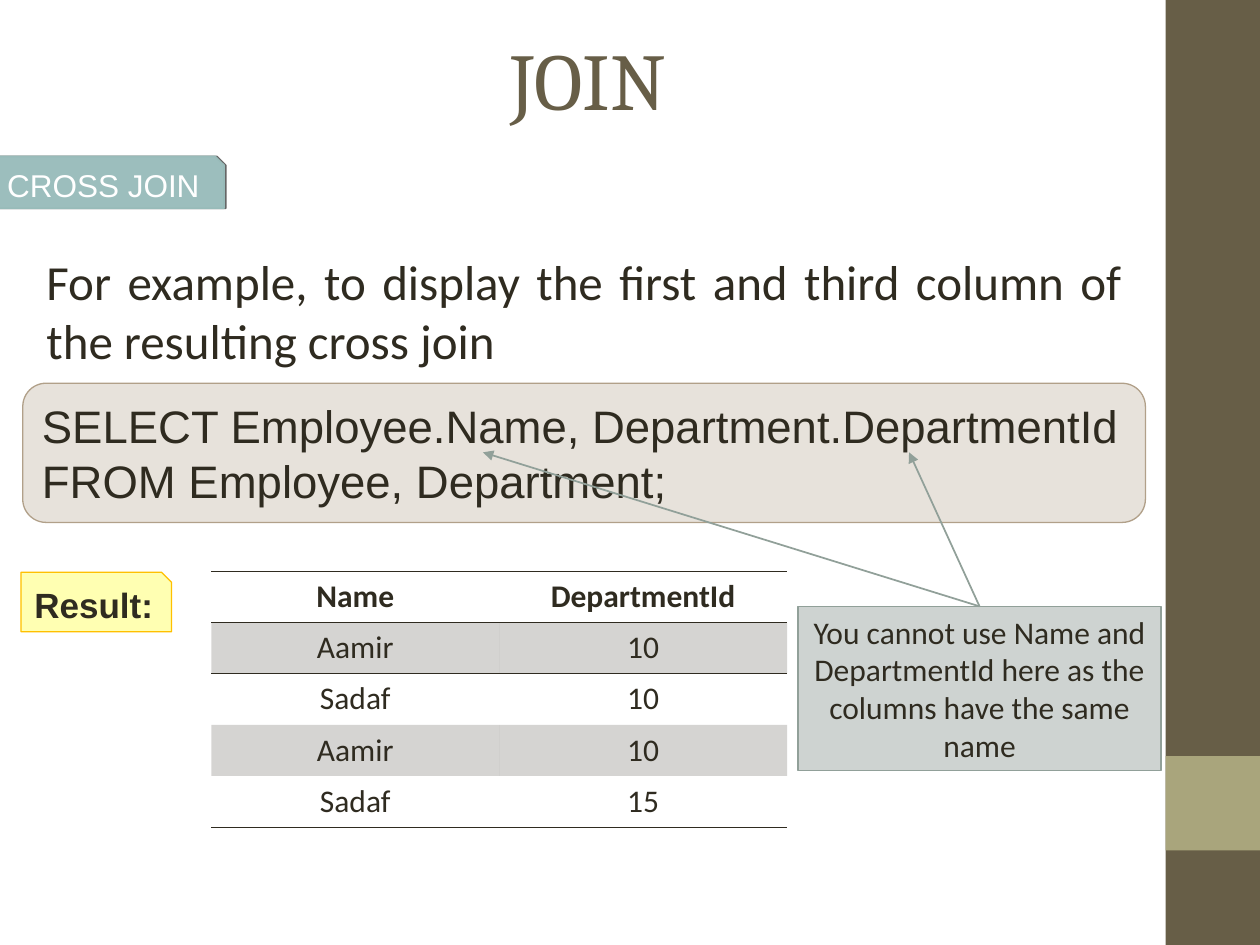
from pptx import Presentation
from pptx.dml.color import RGBColor
from pptx.enum.shapes import MSO_CONNECTOR, MSO_SHAPE
from pptx.enum.text import MSO_ANCHOR, PP_ALIGN
from pptx.oxml import parse_xml
from pptx.oxml.ns import nsdecls, qn
from pptx.oxml.xmlchemy import OxmlElement
from pptx.util import Pt

INK = "2F2B20"
BROWN = "675E47"
SAGE = "91A099"
NO_STYLE = "{2D5ABB26-0587-4C30-8999-92F81FD0307C}"
ROWS = [
    ("Name", "DepartmentId"),
    ("Aamir", "10"),
    ("Sadaf", "10"),
    ("Aamir", "10"),
    ("Sadaf", "15"),
]


def color(code):
    """Turn a hex string into a colour."""
    return RGBColor.from_string(code)


def set_fill(fill, code, opacity=100):
    """Give a solid fill, translucent when opacity is below 100."""
    fill.solid()
    fill.fore_color.rgb = color(code)
    if opacity < 100:
        alpha = OxmlElement("a:alpha")
        alpha.set("val", str(opacity * 1000))
        fill._xPr.find(qn("a:solidFill"))[0].append(alpha)


def write(frame, text, size, font, code=INK, align=PP_ALIGN.CENTER, bold=False,
          anchor=MSO_ANCHOR.MIDDLE):
    """Put one styled paragraph into a text frame."""
    frame.word_wrap = True
    frame.vertical_anchor = anchor
    para = frame.paragraphs[0]
    para.text = text
    para.alignment = align
    para.font.size = Pt(size)
    para.font.name = font
    para.font.bold = bold
    para.font.color.rgb = color(code)


def add_panel(shapes, kind, box, fill, opacity=100, line=None, width=0.75):
    """Add a preset shape with its fill and outline."""
    panel = shapes.add_shape(kind, *map(Pt, box))
    panel.shadow.inherit = False
    set_fill(panel.fill, fill, opacity)
    if line:
        panel.line.color.rgb = color(line)
        panel.line.width = Pt(width)
    else:
        panel.line.fill.background()
    return panel


def add_text(page, box, text, size, font, **style):
    """Add a wrapping text box."""
    label = page.shapes.add_textbox(*map(Pt, box))
    write(label.text_frame, text, size, font, **style)


def add_sidebar(page, left, top, width, height):
    """Draw the side band with its lighter square."""
    add_panel(page.shapes, MSO_SHAPE.RECTANGLE, (left, top, width, height), BROWN)
    add_panel(page.shapes, MSO_SHAPE.RECTANGLE,
              (left, top + 0.8 * height, width, width), "A9A57C")


def add_section_tab(page, box):
    """Draw the snipped section tab with a hard shadow."""
    tab = add_panel(page.shapes, MSO_SHAPE.SNIP_1_RECTANGLE, box, "9CBEBD",
                    line="98BBB9", width=1)
    tab._element.spPr.find(qn("a:effectLst")).append(parse_xml(
        f'<a:outerShdw {nsdecls("a")} blurRad="0" dist="12700" dir="0">'
        '<a:srgbClr val="000000"><a:alpha val="60000"/></a:srgbClr></a:outerShdw>'))
    write(tab.text_frame, "CROSS JOIN", 18, "Arial", "FFFFFF", PP_ALIGN.LEFT)


def add_query(page, box):
    """Draw the rounded panel holding the query."""
    panel = add_panel(page.shapes, MSO_SHAPE.ROUNDED_RECTANGLE, box, "B1A089", 30,
                      "B1A089")
    write(panel.text_frame,
          "SELECT Employee.Name, Department.DepartmentId FROM Employee, Department;",
          26, "Arial", align=PP_ALIGN.LEFT)


def add_result_label(page, box):
    """Draw the yellow result label."""
    label = add_panel(page.shapes, MSO_SHAPE.SNIP_1_RECTANGLE, box, "FFFF00", 30,
                      "FFC000")
    write(label.text_frame, "Result:", 20, "Arial", bold=True)


def add_border(cell, side):
    """Add a thin ink border; side is lnT or lnB."""
    cell._tc.get_or_add_tcPr().append(parse_xml(
        f'<a:{side} {nsdecls("a")} w="5715"><a:solidFill>'
        f'<a:srgbClr val="{INK}"/></a:solidFill></a:{side}>'))


def add_result_table(page, left, top, width, height):
    """Build the striped result table."""
    table = page.shapes.add_table(len(ROWS), len(ROWS[0]), Pt(left), Pt(top),
                                  Pt(width), Pt(height)).table
    table._tbl.tblPr.find(qn("a:tableStyleId")).text = NO_STYLE
    for i, row in enumerate(ROWS):
        table.rows[i].height = Pt(height / len(ROWS))
        for j, text in enumerate(row):
            cell = table.cell(i, j)
            write(cell.text_frame, text, 18, "Calibri", bold=i == 0, anchor=None)
            if i <= 1:
                add_border(cell, "lnT")
            if i in (0, len(ROWS) - 1):
                add_border(cell, "lnB")
            if i % 2:
                set_fill(cell.fill, INK, 20)
            else:
                cell.fill.background()


def add_callout(page, box, targets):
    """Draw the note and its arrows to the target points."""
    shapes = page.shapes.add_group_shape().shapes
    note = add_panel(shapes, MSO_SHAPE.RECTANGLE, box, "CED3D1", line=SAGE, width=1)
    write(note.text_frame, "You cannot use Name and DepartmentId here as the "
          "columns have the same name", 18, "Calibri", anchor=MSO_ANCHOR.TOP)
    left, top, width, _ = box
    for x, y in targets:
        arrow = shapes.add_connector(MSO_CONNECTOR.STRAIGHT, Pt(left + width / 2),
                                     Pt(top), Pt(x), Pt(y))
        arrow.begin_connect(note, 0)
        arrow.line.color.rgb = color(SAGE)
        arrow.line.width = Pt(1)
        tail = OxmlElement("a:tailEnd")
        tail.set("type", "triangle")
        arrow.line._get_or_add_ln().append(tail)
        arrow._element.spPr.append(OxmlElement("a:effectLst"))


def main():
    """Build and save the slide."""
    deck = Presentation()
    deck.slide_width, deck.slide_height = Pt(720), Pt(540)
    page = deck.slides.add_slide(deck.slide_layouts[6])
    add_sidebar(page, 666, 0, 54, 540)
    add_text(page, (36, 0, 600, 90), "JOIN", 46, "Cambria", code=BROWN)
    add_section_tab(page, (-3, 89.5, 131, 29.5))
    add_text(page, (19.5, 140, 628.5, 85),
             "For example, to display the first and third column of the resulting "
             "cross join", 28, "Calibri", align=PP_ALIGN.JUSTIFY,
             anchor=MSO_ANCHOR.TOP)
    add_query(page, (13, 219, 641.5, 79.5))
    add_result_label(page, (12, 327, 86, 34))
    add_result_table(page, 120.75, 326.5, 329, 146.25)
    add_callout(page, (456, 346.5, 207.5, 93.75), [(519.5, 258.5), (276, 258.5)])
    deck.save("out.pptx")


if __name__ == "__main__":
    main()
